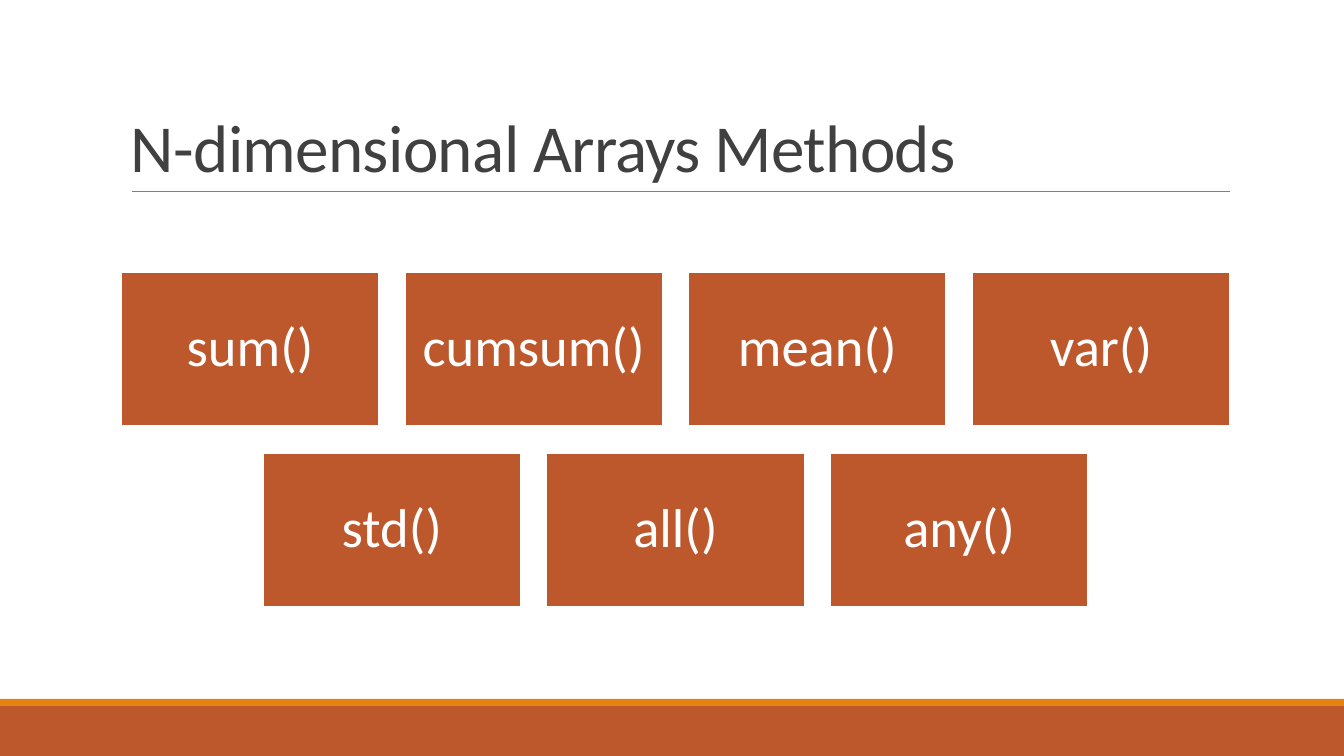
from lxml import etree
from pptx import Presentation
from pptx.dml.color import RGBColor
from pptx.enum.shapes import MSO_CONNECTOR, MSO_SHAPE
from pptx.enum.text import MSO_ANCHOR, PP_ALIGN
from pptx.oxml.ns import qn
from pptx.util import Emu, Pt

RECTANGLE = MSO_SHAPE.RECTANGLE
STRAIGHT = MSO_CONNECTOR.STRAIGHT
MIDDLE, BOTTOM = MSO_ANCHOR.MIDDLE, MSO_ANCHOR.BOTTOM
CENTER, LEFT = PP_ALIGN.CENTER, PP_ALIGN.LEFT
PAGE_WIDTH, PAGE_HEIGHT = 1344, 756
EMU_PER_PX = 12192000 / PAGE_WIDTH
FONT = "Calibri"
RUST, ORANGE, WHITE, GREY, CHARCOAL = "BD582C", "E48312", "FFFFFF", "808080", "404040"
METHOD_ROWS = [["sum()", "cumsum()", "mean()", "var()"], ["std()", "all()", "any()"]]


def px(length):
    """Turn pixels into EMU."""
    return Emu(round(length * EMU_PER_PX))


def color(value):
    """Turn a hex string into a colour."""
    return RGBColor.from_string(value)


def add_block(page, box, fill, outline=None):
    """Add a filled rectangle with an optional outline."""
    block = page.shapes.add_shape(RECTANGLE, *map(px, box))
    block.shadow.inherit = False
    block.fill.solid()
    block.fill.fore_color.rgb = color(fill)
    if outline:
        block.line.color.rgb = color(outline)
        block.line.width = Pt(1.25)
    else:
        block.line.fill.background()
    return block


def write(frame, text, size, fill, anchor, align, spacing):
    """Write one styled paragraph into a text frame."""
    frame.word_wrap = True
    frame.vertical_anchor = anchor
    para = frame.paragraphs[0]
    para.alignment = align
    para.line_spacing = spacing
    span = para.add_run()
    span.text = text
    span.font.name = FONT
    span.font.size = Pt(size)
    span.font.color.rgb = color(fill)
    return span


def add_footer(page, box):
    """Draw the footer band with its thin stripe on top."""
    left, top, width, height = box
    stripe = 7
    add_block(page, (left, top + stripe, width, height - stripe), RUST)
    add_block(page, (left, top, width, stripe), ORANGE)


def add_title(page, box):
    """Place the title and the rule beneath it."""
    left, top, width, height = box
    bottom = top + height
    rule = page.shapes.add_connector(
        STRAIGHT, px(left + 11), px(bottom), px(left + width), px(bottom))
    rule.line.color.rgb = color(GREY)
    rule.line.width = Pt(0.5)
    etree.SubElement(rule.line._get_or_add_ln().getparent(), qn("a:effectLst"))
    title = page.shapes.add_textbox(*map(px, box))
    span = write(title.text_frame, "N-dimensional Arrays Methods",
                 48, CHARCOAL, BOTTOM, LEFT, 0.85)
    span.font._element.set("spc", "-50")


def add_method_grid(page, box):
    """Lay out the method tiles in centred rows."""
    left, top, width, height = box
    tile_width, tile_height, inset = 258, 154, 16
    gap = (width - len(METHOD_ROWS[0]) * tile_width) / (len(METHOD_ROWS[0]) - 1)
    row_step = (height - tile_height) / (len(METHOD_ROWS) - 1)
    for row, methods in enumerate(METHOD_ROWS):
        row_width = len(methods) * (tile_width + gap) - gap
        row_left = left + (width - row_width) / 2
        for column, method in enumerate(methods):
            place = (row_left + column * (tile_width + gap),
                     top + row * row_step, tile_width, tile_height)
            frame = add_block(page, place, RUST, WHITE).text_frame
            frame.margin_left = frame.margin_right = px(inset)
            frame.margin_top = frame.margin_bottom = px(inset)
            write(frame, method, 39, WHITE, MIDDLE, CENTER, 0.9)


def main():
    """Build and save the slide."""
    deck = Presentation()
    deck.slide_width, deck.slide_height = px(PAGE_WIDTH), px(PAGE_HEIGHT)
    page = deck.slides.add_slide(deck.slide_layouts[6])
    add_footer(page, (0, 699, PAGE_WIDTH, 57))
    add_title(page, (121, 31, 1109, 160))
    add_method_grid(page, (121, 272, 1109, 335))
    deck.save("out.pptx")


if __name__ == "__main__":
    main()
